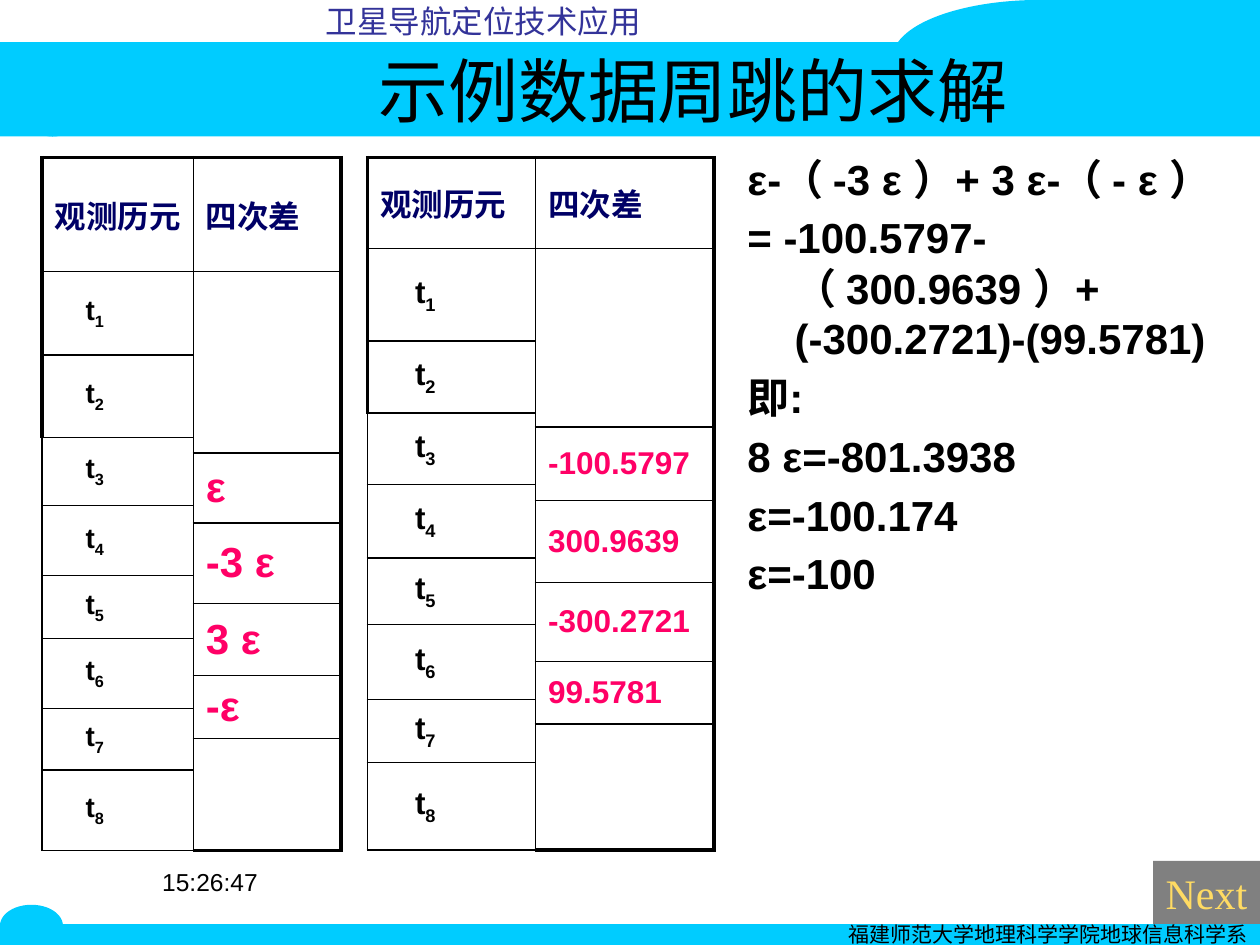
from dataclasses import dataclass

from lxml import etree
from pptx import Presentation
from pptx.dml.color import RGBColor
from pptx.enum.shapes import MSO_SHAPE
from pptx.enum.text import MSO_ANCHOR, MSO_AUTO_SIZE, PP_ALIGN
from pptx.oxml.ns import qn
from pptx.slide import Slide
from pptx.util import Pt

RECTANGLE, OVAL, MOON = MSO_SHAPE.RECTANGLE, MSO_SHAPE.OVAL, MSO_SHAPE.MOON
LEFT, CENTER, RIGHT = PP_ALIGN.LEFT, PP_ALIGN.CENTER, PP_ALIGN.RIGHT
MIDDLE = MSO_ANCHOR.MIDDLE
NO_AUTOFIT = MSO_AUTO_SIZE.NONE

BLACK = RGBColor(0, 0, 0)
WHITE = RGBColor(255, 255, 255)
CYAN = RGBColor(0, 0xCC, 0xFF)
INDIGO = RGBColor(0x33, 0x33, 0x99)
NAVY = RGBColor(0, 0, 0x66)
PINK = RGBColor(0xFF, 0, 0x66)
GRAY = RGBColor(0x80, 0x80, 0x80)
GOLD = RGBColor(0xFF, 0xDB, 0x63)

THIN, THICK = 1, 2.25
CELL_MARGIN = 7.2
# First and last table row of each merged cell
EPOCH_SPANS = [(1, 1), (2, 2), (3, 4), (5, 6), (7, 8), (9, 10), (11, 12), (13, 13)]
DIFFERENCE_SPANS = [(1, 3), (4, 5), (6, 7), (8, 9), (10, 11), (12, 13)]


@dataclass
class Painter:
    slide: Slide
    font_name: str = "Arial"

    def style(self, paragraph, size, color=BLACK, bold=False, align=LEFT, font_name=None):
        paragraph.alignment = align
        font = paragraph.font
        font.name = font_name or self.font_name
        font.size = Pt(size)
        font.bold = bold
        font.color.rgb = color

    def shape(self, kind, left, top, width, height, fill=CYAN):
        shape = self.slide.shapes.add_shape(kind, Pt(left), Pt(top), Pt(width), Pt(height))
        shape.shadow.inherit = False
        shape.fill.solid()
        shape.fill.fore_color.rgb = fill
        shape.line.fill.background()
        return shape

    def label(self, shape, text, size, **style):
        """Put one unwrapped line of text in a shape."""
        frame = shape.text_frame
        frame.word_wrap = False
        frame.vertical_anchor = MIDDLE
        frame.text = text
        self.style(frame.paragraphs[0], size, **style)

    def title(self, text, left, top, width, height):
        title = self.slide.shapes.title
        title.left, title.top = Pt(left), Pt(top)
        title.width, title.height = Pt(width), Pt(height)
        frame = title.text_frame
        frame.auto_size = NO_AUTOFIT
        frame.vertical_anchor = MIDDLE
        frame.text = text
        self.style(frame.paragraphs[0], 40, align=CENTER)
        # Bring the title in front of the band
        self.slide.shapes._spTree.append(title._element)

    def text(self, lines, left, top, width, height, size, hanging=0, **style):
        box = self.slide.shapes.add_textbox(Pt(left), Pt(top), Pt(width), Pt(height))
        frame = box.text_frame
        frame.word_wrap = True
        frame.text = "\n".join(lines)
        for number, para in enumerate(frame.paragraphs):
            if hanging:
                properties = para._p.get_or_add_pPr()
                properties.set("marL", str(Pt(hanging)))
                properties.set("indent", str(-Pt(hanging)))
            if number:
                para.space_before = Pt(size * 0.2)
            self.style(para, size, **style)
        return frame

    def borders(self, cell, left, right, top, bottom):
        properties = cell._tc.get_or_add_tcPr()
        for side, width in zip("LRTB", (left, right, top, bottom)):
            line = etree.SubElement(properties, qn(f"a:ln{side}"), w=str(Pt(width)))
            fill = etree.SubElement(line, qn("a:solidFill"))
            etree.SubElement(fill, qn("a:srgbClr"), val=str(BLACK))

    def cell_text(self, cell, text, size, color, subscript="", indent=0):
        cell.margin_left = Pt(CELL_MARGIN + indent)
        para = cell.text_frame.paragraphs[0]
        para.add_run().text = text
        if subscript:
            span = para.add_run()
            span.text = subscript
            span.font._element.set("baseline", "-25000")
        self.style(para, size, color, bold=True)

    def difference_table(self, left, top, widths, heights, differences, epoch_size, value_size):
        """Draw epochs beside fourth differences, each column merged on its own."""
        last_row = len(heights) - 1
        frame = self.slide.shapes.add_table(
            len(heights), len(widths), Pt(left), Pt(top), Pt(sum(widths)), Pt(sum(heights)))
        table = frame.table
        table.first_row = table.horz_banding = False
        for column, width in zip(table.columns, widths):
            column.width = Pt(width)
        for row, height in zip(table.rows, heights):
            row.height = Pt(height)

        for column, spans in enumerate((EPOCH_SPANS, DIFFERENCE_SPANS)):
            for first, last in [(0, 0)] + spans:
                for row in range(first, last + 1):
                    cell = table.cell(row, column)
                    self.borders(
                        cell,
                        left=THICK if column == 0 and first < 3 else THIN,
                        right=THICK if column == 1 else THIN,
                        top=THICK if first == 0 else THIN,
                        bottom=THICK if column == 1 and last == last_row else THIN)
                    cell.fill.solid()
                    cell.fill.fore_color.rgb = WHITE
                    cell.vertical_anchor = MIDDLE
                if last > first:
                    table.cell(first, column).merge(table.cell(last, column))

        for column, heading in enumerate(("观测历元", "四次差")):
            self.cell_text(table.cell(0, column), heading, 18, NAVY)
        for number, (first, _) in enumerate(EPOCH_SPANS, 1):
            self.cell_text(table.cell(first, 0), "t", epoch_size, BLACK,
                           subscript=str(number), indent=epoch_size * 1.11)
        # The first and last merged cells of the column stay empty
        for difference, (first, _) in zip(differences, DIFFERENCE_SPANS[1:-1]):
            self.cell_text(table.cell(first, 1), difference, value_size, PINK)


def main():
    deck = Presentation()
    deck.slide_width, deck.slide_height = Pt(720), Pt(540)
    page = deck.slides.add_slide(deck.slide_layouts[5])
    painter = Painter(page)

    painter.shape(OVAL, 0, 517, 36, 24)
    footer = painter.shape(RECTANGLE, 0, 528, 720, 12)
    painter.label(footer, "福建师范大学地理科学学院地球信息科学系", 12, align=RIGHT)

    painter.shape(RECTANGLE, 0, 24, 720, 54)
    painter.shape(OVAL, 510, 0, 168, 66)
    painter.shape(RECTANGLE, 594, 0, 126, 24)
    course = painter.text(["卫星导航定位技术应用"], 36, 0, 480, 26.6, 18,
                          color=INDIGO, align=CENTER, font_name="Noto Sans CJK SC")
    course.margin_top = Pt(1.4)
    moon = painter.shape(MOON, 6, 24, 48, 60)
    moon.rotation = 270
    moon.adjustments[0] = 0.48
    painter.shape(RECTANGLE, 0, 36.7, 6, 20)

    painter.title("示例数据周跳的求解", 72, 24, 648, 54)
    painter.text(
        ["ε-（ -3 ε ）+ 3 ε-（ - ε ）",
         "= -100.5797-（ 300.9639 ）+(-300.2721)-(99.5781)",
         "即:",
         "8 ε=-801.3938",
         "ε=-100.174",
         "ε=-100"],
        420, 84, 288, 392, 24, hanging=27, bold=True)

    painter.difference_table(
        210, 90, [96, 102],
        [52, 53, 41, 8, 33, 9, 33, 14, 24, 21, 22, 14, 22, 50],
        ["-100.5797", "300.9639", "-300.2721", "99.5781"],
        epoch_size=18, value_size=18)
    painter.difference_table(
        24, 90, [86.5, 84.5],
        [65, 48, 47, 9, 30, 10, 30, 16, 20, 21, 19, 17, 18, 46],
        ["ε", "-3 ε", "3 ε", "-ε"],
        epoch_size=16, value_size=24)

    button = painter.shape(RECTANGLE, 659, 492, 61, 36, fill=GRAY)
    painter.label(button, "Next", 24, color=GOLD, font_name="Times New Roman")
    painter.text(["15:26:47"], 36, 492, 168, 37.5, 14, align=CENTER)

    deck.save("out.pptx")


if __name__ == "__main__":
    main()
